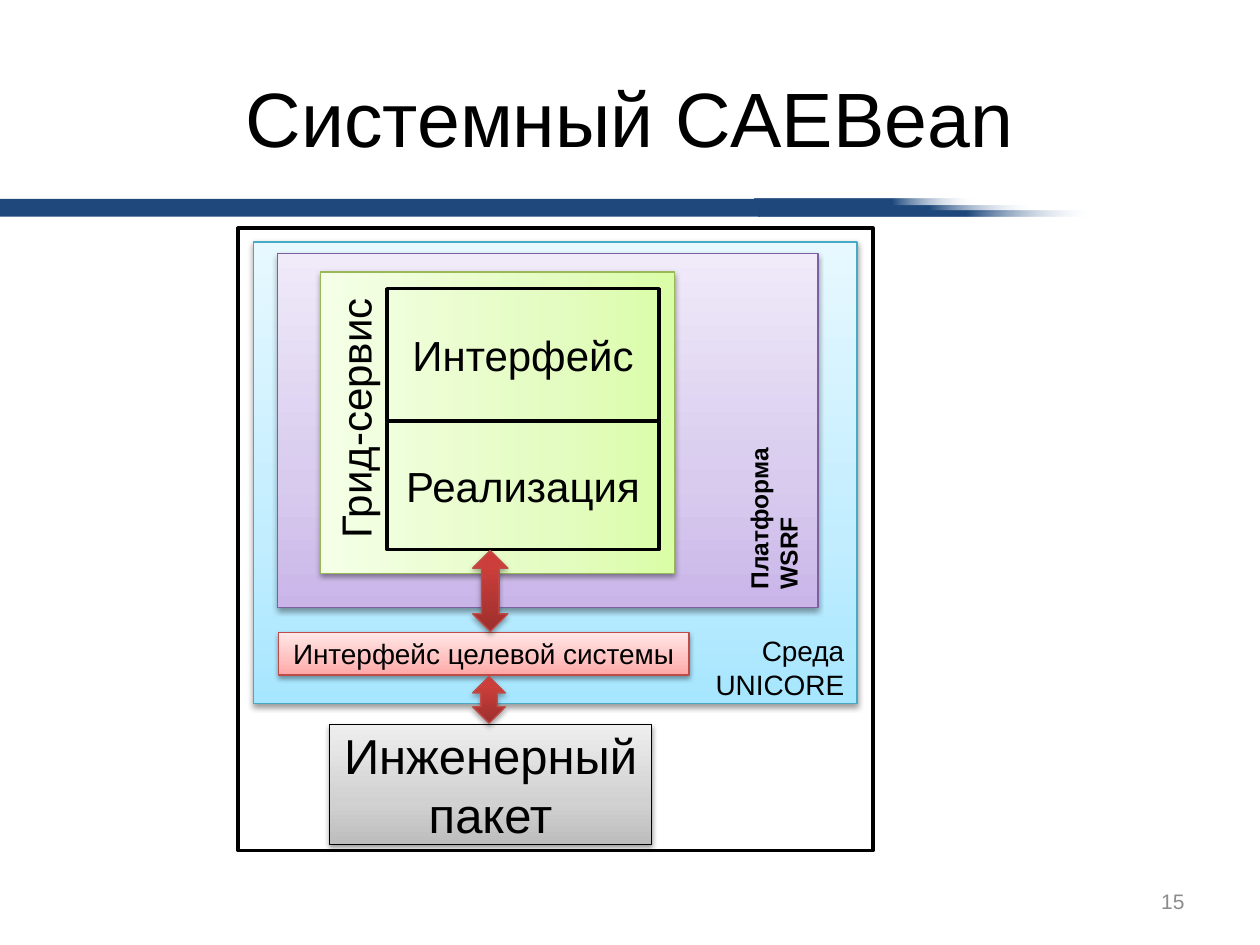
from lxml.etree import SubElement
from pptx import Presentation
from pptx.dml.color import RGBColor as Rgb
from pptx.enum.shapes import MSO_SHAPE as Shape
from pptx.enum.text import MSO_ANCHOR as Anchor, PP_ALIGN as Align
from pptx.oxml.ns import qn
from pptx.util import Cm, Pt

FONT = "Arial"
COLORS = {
    "text": "000000",
    "number": "8C8C8C",
    "bar": "1F497D",
    "bar_end": "E1E8F5",
    "blue_line": "46AAC5",
    "purple_line": "7D60A0",
    "green_line": "98B955",
    "red_line": "BF4C48",
}
GRADIENTS = {
    "blue": [(0, "A7E6FF"), (35, "C1EDFF"), (100, "E7F8FF")],
    "purple": [(0, "C9B5E8"), (35, "D8CBEE"), (100, "F0EAF9")],
    "green": [(0, "DAFDA7"), (35, "E4FCC2"), (100, "F5FFE7")],
    "grey": [(0, "BDBDBD"), (35, "D1D1D1"), (100, "EEEEEE")],
    "pink": [(0, "FFA6A5"), (35, "FFC0BF"), (100, "FFE7E7")],
    "red": [(0, "9C2F2D"), (80, "CB3E3A"), (100, "CE3B37")],
    "bar": [(0, COLORS["bar"]), (63, COLORS["bar"]), (100, COLORS["bar_end"])],
}


def color(name):
    return Rgb.from_string(COLORS[name])


def fill_gradient(shape, stops, angle=90, fade=False):
    shape.fill.gradient()
    shape.fill.gradient_angle = angle
    stop_list = shape._element.spPr.find(".//" + qn("a:gsLst"))
    for old_stop in list(stop_list):
        stop_list.remove(old_stop)
    for percent, value in stops:
        stop = SubElement(stop_list, qn("a:gs"), pos=str(percent * 1000))
        tint = SubElement(stop, qn("a:srgbClr"), val=value)
        if fade and percent == 100:
            SubElement(tint, qn("a:alpha"), val="0")


def add_shadow(shape, opacity, distance):
    effects = shape._element.spPr.find(qn("a:effectLst"))
    shadow = SubElement(effects, qn("a:outerShdw"), blurRad=str(Pt(3.1)),
                        dist=str(Pt(distance)), dir="5400000", rotWithShape="0")
    tint = SubElement(shadow, qn("a:srgbClr"), val="000000")
    SubElement(tint, qn("a:alpha"), val=str(opacity * 1000))


def write(shape, text, size, align=Align.CENTER, anchor=Anchor.MIDDLE,
          tint="text", bold=False, wrap=True):
    frame = shape.text_frame
    frame.text = text
    frame.word_wrap = wrap
    frame.vertical_anchor = anchor
    for para in frame.paragraphs:
        para.alignment = align
        para.font.name = FONT
        para.font.size = Pt(size)
        para.font.bold = bold
        para.font.color.rgb = color(tint)


def add_shape(page, place, kind=Shape.RECTANGLE):
    shape = page.shapes.add_shape(kind, *map(Cm, place))
    shape.shadow.inherit = False
    return shape


def add_bar(page, place, fade=True):
    bar = add_shape(page, place)
    bar.line.fill.background()
    if fade:
        fill_gradient(bar, GRADIENTS["bar"], 0, fade=True)
    else:
        bar.fill.solid()
        bar.fill.fore_color.rgb = color("bar")


def add_outline(page, place):
    box = add_shape(page, place)
    box.fill.background()
    box.line.color.rgb = color("text")
    box.line.width = Pt(2)
    return box


def add_panel(page, place, gradient, line, kind=Shape.RECTANGLE,
              opacity=38, distance=1.6):
    panel = add_shape(page, place, kind)
    fill_gradient(panel, GRADIENTS[gradient])
    panel.line.color.rgb = color(line)
    panel.line.width = Pt(0.75)
    add_shadow(panel, opacity, distance)
    return panel


def add_label(page, place, text, size, rotation=0, **style):
    label = page.shapes.add_textbox(*map(Cm, place))
    label.rotation = rotation
    write(label, text, size, **style)


def main():
    deck = Presentation()
    deck.slide_width, deck.slide_height = Cm(25.4), Cm(19.05)
    page = deck.slides.add_slide(deck.slide_layouts[6])

    add_bar(page, (15.21, 4.01, 4.39, 0.13))
    add_bar(page, (0, 4.01, 15.32, 0.36), fade=False)
    add_bar(page, (15.27, 4.14, 5.49, 0.13))
    add_bar(page, (15.29, 4.24, 6.65, 0.13))

    add_panel(page, (5.11, 4.88, 12.17, 9.3), "blue", "blue_line")
    add_panel(page, (5.59, 5.11, 10.9, 7.14), "purple", "purple_line")
    service = add_panel(page, (6.99, 4.95, 6.07, 7.14), "green", "green_line")
    service.rotation = 270
    add_outline(page, (4.8, 4.6, 12.8, 12.55))

    add_label(page, (1.27, 0.76, 22.86, 3.18), "Системный CAEBean", 44)
    add_label(page, (18.21, 17.65, 5.92, 1.02), "15", 12,
              align=Align.RIGHT, tint="number")

    engineering = add_panel(page, (6.65, 14.61, 6.48, 2.41), "grey", "text")
    write(engineering, "Инженерный пакет", 28)
    add_label(page, (14.15, 12.65, 3.12, 1.63), "Среда\nUNICORE", 16,
              align=Align.RIGHT, anchor=Anchor.TOP)

    for top, height, text in ((5.82, 2.67, "Интерфейс"), (8.49, 2.59, "Реализация")):
        write(add_outline(page, (7.8, top, 5.49, height)), text, 24)

    target = add_panel(page, (5.61, 12.75, 8.28, 0.86), "pink", "red_line")
    write(target, "Интерфейс целевой системы", 16)

    for place in ((9.53, 11.1, 0.71, 1.63), (9.53, 13.64, 0.66, 0.94)):
        add_panel(page, place, "red", "red_line", Shape.UP_DOWN_ARROW, 35, 1.8)

    add_label(page, (4.45, 7.8, 5.41, 1.27), "Грид-сервис", 24, 270,
              anchor=Anchor.TOP, wrap=False)
    add_label(page, (13.87, 9.68, 3.45, 1.45), "Платформа WSRF", 14, 270,
              align=Align.LEFT, anchor=Anchor.TOP, bold=True)

    deck.save("out.pptx")


if __name__ == "__main__":
    main()
